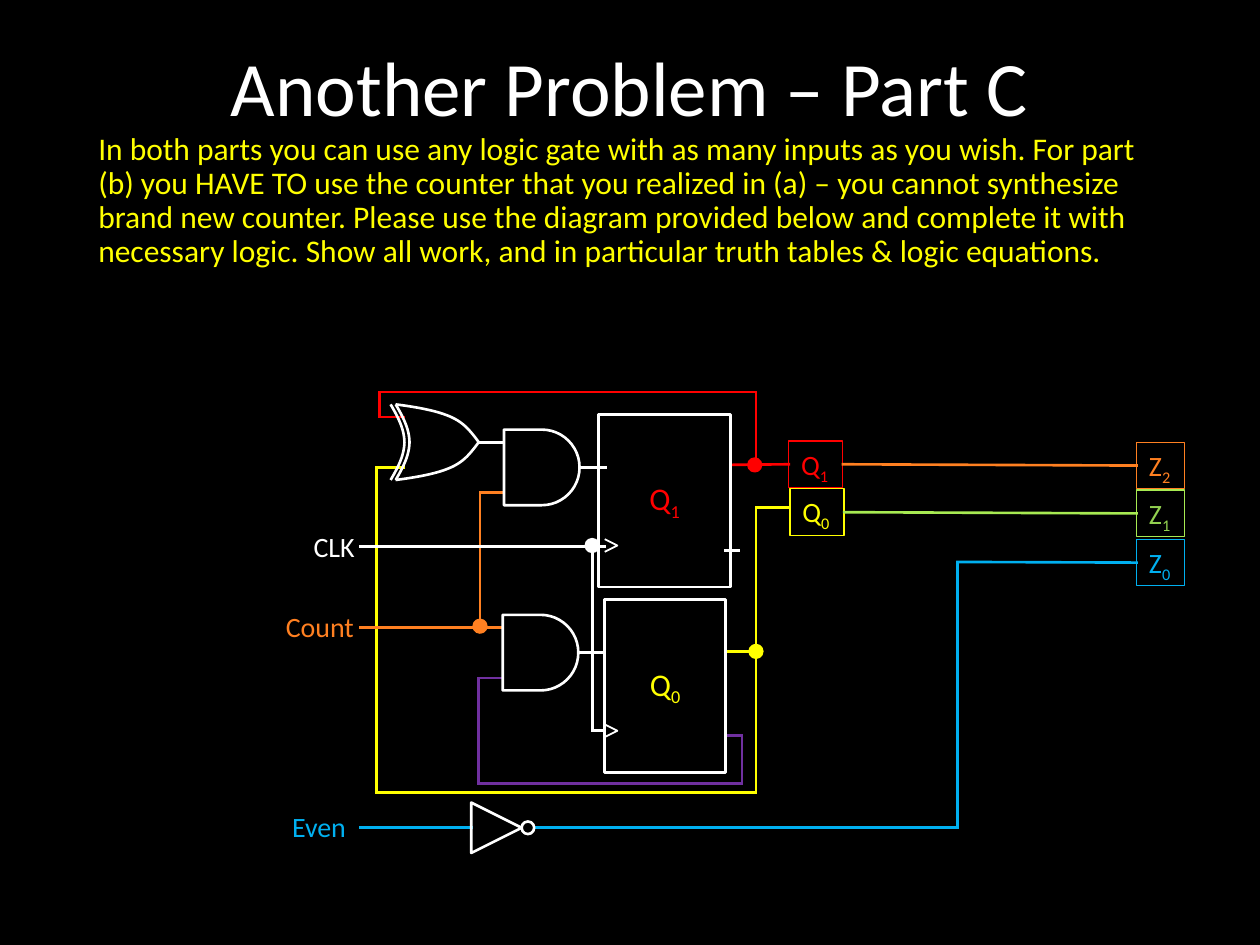
from dataclasses import dataclass
from itertools import pairwise
from typing import Any

from pptx import Presentation
from pptx.dml.color import RGBColor
from pptx.enum.shapes import MSO_CONNECTOR as Link, MSO_SHAPE as Preset
from pptx.enum.text import MSO_ANCHOR as Anchor, MSO_AUTO_SIZE as Fit, PP_ALIGN as Align
from pptx.oxml.ns import qn
from pptx.util import Cm, Pt

INCH = 2.54
BLACK, WHITE, RED, YELLOW = "000000", "FFFFFF", "FF0000", "FFFF00"
ORANGE, PURPLE, BLUE, LIME, GREEN = "FF8021", "7030A0", "00B0F0", "A7EA52", "92D050"
Point = tuple[float, float]
Area = tuple[float, float, float, float]


@dataclass
class Label:
    letter: str
    area: Area
    color: str
    digit: str = ""
    border: str = ""


@dataclass
class Wire:
    color: str
    points: list[Point]
    start: str = ""
    end: str = ""


@dataclass
class Part:
    preset: Any
    area: Area
    line: str = WHITE
    fill: str = ""
    turn: int = 0


TAGS = [
    Label("Q", (6.26, 3.5, 0.43, 0.37), RED, "1", RED),
    Label("Q", (6.27, 3.88, 0.43, 0.37), YELLOW, "0", YELLOW),
    Label("Z", (9.02, 3.51, 0.38, 0.37), ORANGE, "2", ORANGE),
    Label("Z", (9.02, 3.89, 0.38, 0.37), GREEN, "1", LIME),
    Label("Z", (9.02, 4.28, 0.38, 0.37), BLUE, "0", BLUE),
]
INPUTS = [
    Label("CLK", (2.39, 4.15, 0.53, 0.37), WHITE),
    Label("Count", (2.17, 4.79, 0.75, 0.37), ORANGE),
    Label("Even", (2.22, 6.38, 0.64, 0.37), BLUE),
]
FLOPS = [
    Label("Q", (4.75, 3.29, 1.05, 1.37), RED, "1"),
    Label("Q", (4.8, 4.76, 0.96, 1.37), YELLOW, "0"),
]
SIGNALS = [
    Wire(RED, [(3.2, 3.31), (3.01, 3.31), (3.01, 3.11), (6, 3.11), (6, 3.69)]),
    Wire(RED, [(5.74, 3.69), (6.26, 3.69)], end="Q1"),
    Wire(YELLOW, [(3.2, 3.71), (2.99, 3.71), (2.99, 6.29), (6, 6.29), (6, 4.03), (6.27, 4.03)]),
    Wire(YELLOW, [(5.74, 5.17), (6, 5.17)]),
    Wire(PURPLE, [(5.74, 5.84), (5.89, 5.84), (5.89, 6.22), (3.8, 6.22), (3.8, 5.38), (3.99, 5.38)]),
    Wire(ORANGE, [(4, 3.91), (3.81, 3.91), (3.81, 4.98)]),
    Wire(ORANGE, [(2.86, 4.98), (3.99, 4.98)]),
    Wire(ORANGE, [(6.69, 3.68), (9.02, 3.69)], "Q1", "Z2"),
    Wire(LIME, [(6.7, 4.06), (9.02, 4.08)], "Q0", "Z1"),
    Wire(BLUE, [(2.86, 6.57), (3.74, 6.57)]),
    Wire(BLUE, [(4.14, 6.57), (7.6, 6.57), (7.6, 4.46), (9.02, 4.46)], end="Z0"),
]
LEADS = [
    Wire(WHITE, [(2.86, 4.34), (4.8, 4.34)]),
    Wire(WHITE, [(4.7, 4.34), (4.7, 5.8), (4.8, 5.8)]),
    Wire(WHITE, [(3.8, 3.51), (4, 3.51)]),
    Wire(WHITE, [(4.6, 3.71), (4.81, 3.71)]),
    Wire(WHITE, [(4.59, 5.18), (4.79, 5.18)]),
    Wire(WHITE, [(5.76, 4.37), (5.86, 4.37)]),
]
PARTS = [
    Part(Preset.FLOWCHART_DELAY, (4, 3.41, 0.6, 0.6)),
    Part(Preset.FLOWCHART_DELAY, (3.99, 4.88, 0.6, 0.6)),
    Part(Preset.ISOSCELES_TRIANGLE, (3.74, 6.37, 0.4, 0.4), turn=90),
    Part(Preset.OVAL, (4.14, 6.52, 0.1, 0.1), fill=BLACK),
] + [
    Part(Preset.OVAL, (left, top, 0.1, 0.1), color, color)
    for left, top, color in [
        (4.65, 4.28, WHITE), (5.94, 3.64, RED), (5.95, 5.12, YELLOW), (3.76, 4.92, ORANGE)
    ]
]
CLOCK_MARKS = [4.33, 5.8]
XOR_MIDDLE = 3.51
XOR_BACKS = [3.1, 3.14]


def rgb(color: str) -> RGBColor:
    return RGBColor.from_string(color)


def lengths(*values: float) -> list[Cm]:
    return [Cm(value * INCH) for value in values]


def assign(target: Any, values: dict[str, Any]) -> None:
    for name, value in values.items():
        setattr(target, name, value)


def paint(shape: Any, line: str, fill: str = "", width: float = 1.5) -> None:
    if fill:
        shape.fill.solid()
        shape.fill.fore_color.rgb = rgb(fill)
    else:
        shape.fill.background()
    shape.line.color.rgb = rgb(line)
    shape.line.width = Pt(width)
    shape.shadow.inherit = False


def write(para: Any, text: str, size: float, color: str, lowered: bool = False) -> None:
    span = para.add_run()
    span.text = text
    assign(span.font, {"name": "Calibri", "size": Pt(size)})
    span.font.color.rgb = rgb(color)
    if lowered:
        span._r.get_or_add_rPr().set("baseline", "-25000")


def write_label(box: Any, label: Label, size: float) -> None:
    para = box.text_frame.paragraphs[0]
    write(para, label.letter, size, label.color)
    if label.digit:
        write(para, label.digit, size, label.color, lowered=True)


def draw_label(page: Any, label: Label) -> Any:
    box = page.shapes.add_textbox(*lengths(*label.area))
    assign(box.text_frame, {"word_wrap": False, "auto_size": Fit.NONE})
    if label.border:
        paint(box, label.border, BLACK, 0.75)
    write_label(box, label, 16)
    return box


def draw_part(page: Any, part: Part) -> Any:
    shape = page.shapes.add_shape(part.preset, *lengths(*part.area))
    paint(shape, part.line, part.fill)
    shape.rotation = part.turn
    return shape


def draw_flop(page: Any, label: Label) -> None:
    shape = draw_part(page, Part(Preset.RECTANGLE, label.area, fill=BLACK))
    assign(shape.text_frame, {"word_wrap": False, "vertical_anchor": Anchor.MIDDLE})
    shape.text_frame.paragraphs[0].alignment = Align.CENTER
    write_label(shape, label, 18)


def draw_wire(page: Any, wire: Wire, tags: dict[str, Any]) -> None:
    segments = []
    for start, end in pairwise(wire.points):
        segment = page.shapes.add_connector(Link.STRAIGHT, *lengths(*start, *end))
        segment.line.color.rgb = rgb(wire.color)
        segment.line.width = Pt(1.5)
        segment.line._get_or_add_ln().set("cap", "sq")
        properties = segment._element.spPr
        properties.append(properties.makeelement(qn("a:effectLst"), {}))
        segments.append(segment)
    if wire.start:
        segments[0].begin_connect(tags[wire.start], 3)
    if wire.end:
        segments[-1].end_connect(tags[wire.end], 1)


def draw_outline(page: Any, points: list[Point], width: float) -> None:
    first, *rest = [tuple(lengths(*point)) for point in points]
    builder = page.shapes.build_freeform(*first)
    builder.add_line_segments(rest, close=False)
    paint(builder.convert_to_shape(), WHITE, width=width)


def curve(*corners: Point, steps: int = 12) -> list[Point]:
    def at(t: float) -> Point:
        weights = ((1 - t) ** 3, 3 * t * (1 - t) ** 2, 3 * t * t * (1 - t), t ** 3)
        x, y = (sum(w * v for w, v in zip(weights, axis)) for axis in zip(*corners))
        return x, y
    return [at(step / steps) for step in range(steps + 1)]


def draw_xor(page: Any) -> None:
    top = curve((3.14, -0.3), (3.3, -0.28), (3.47, -0.25), (3.58, -0.2))
    top += curve((3.58, -0.2), (3.69, -0.15), (3.74, -0.08), (3.8, 0))[1:]
    halves = [top]
    for x in XOR_BACKS:
        halves.append(curve((x, -0.3), (x + 0.06, -0.2), (x + 0.11, -0.1), (x + 0.11, 0)))
    for half in halves:
        whole = half + [(x, -y) for x, y in half[-2::-1]]
        draw_outline(page, [(x, XOR_MIDDLE + y) for x, y in whole], 1.5)


def fill_placeholder(shape: Any, area: Area, text: str, size: float, color: str,
                     frame: dict[str, Any], layout: dict[str, Any]) -> None:
    assign(shape, dict(zip(("left", "top", "width", "height"), lengths(*area))))
    assign(shape.text_frame, {"word_wrap": True, "auto_size": Fit.NONE} | frame)
    para = shape.text_frame.paragraphs[0]
    properties = para._p.get_or_add_pPr()
    properties.set("marL", "0")
    properties.set("indent", "0")
    properties.append(properties.makeelement(qn("a:buNone"), {}))
    assign(para, {"line_spacing": 0.9, "space_before": Pt(0)} | layout)
    write(para, text, size, color)


def main() -> None:
    deck = Presentation()
    deck.slide_width, deck.slide_height = lengths(10, 7.5)
    page = deck.slides.add_slide(deck.slide_layouts[1])
    page.background.fill.solid()
    page.background.fill.fore_color.rgb = rgb(BLACK)
    fill_placeholder(page.shapes.title, (0.69, 0, 8.62, 1.45), "Another Problem – Part C", 44, WHITE,
                     {"vertical_anchor": Anchor.MIDDLE}, {"alignment": Align.CENTER})
    fill_placeholder(
        page.placeholders[1], (0.68, 1.01, 8.62, 1.32),
        "In both parts you can use any logic gate with as many inputs as you wish. For part (b) you "
        "HAVE TO use the counter that you realized in (a) – you cannot synthesize brand new counter. "
        "Please use the diagram provided below and complete it with necessary logic. Show all work, "
        "and in particular truth tables & logic equations.",
        18, YELLOW, {"vertical_anchor": Anchor.TOP}, {"alignment": Align.LEFT})
    tags = {tag.letter + tag.digit: draw_label(page, tag) for tag in TAGS}
    for label in INPUTS:
        draw_label(page, label)
    for wire in SIGNALS:
        draw_wire(page, wire, tags)
    for flop in FLOPS:
        draw_flop(page, flop)
    for wire in LEADS:
        draw_wire(page, wire, tags)
    for y in CLOCK_MARKS:
        draw_outline(page, [(4.8, y - 0.05), (4.9, y), (4.8, y + 0.05)], 1)
    draw_xor(page)
    for part in PARTS:
        draw_part(page, part)
    deck.save("out.pptx")


if __name__ == "__main__":
    main()
